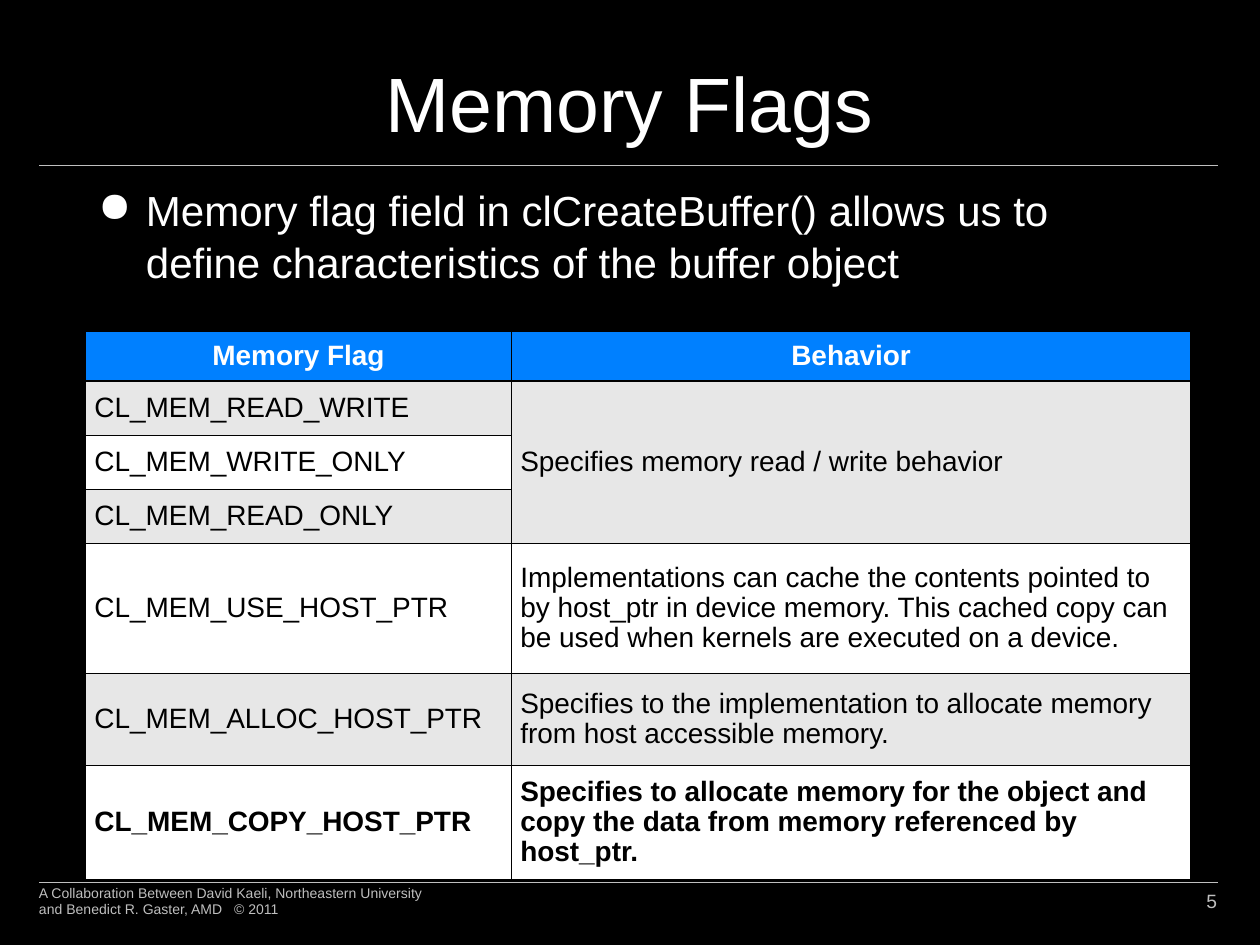
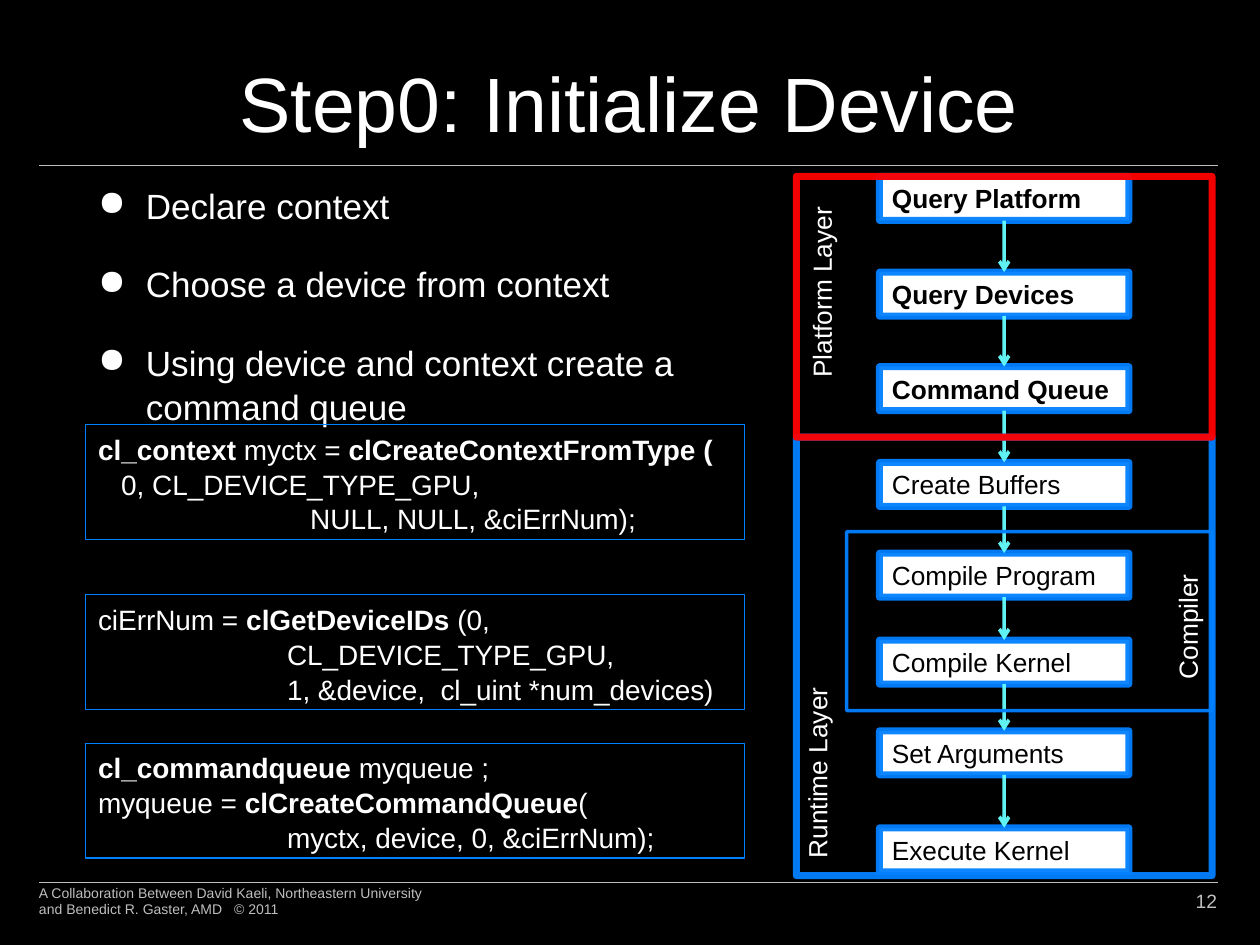
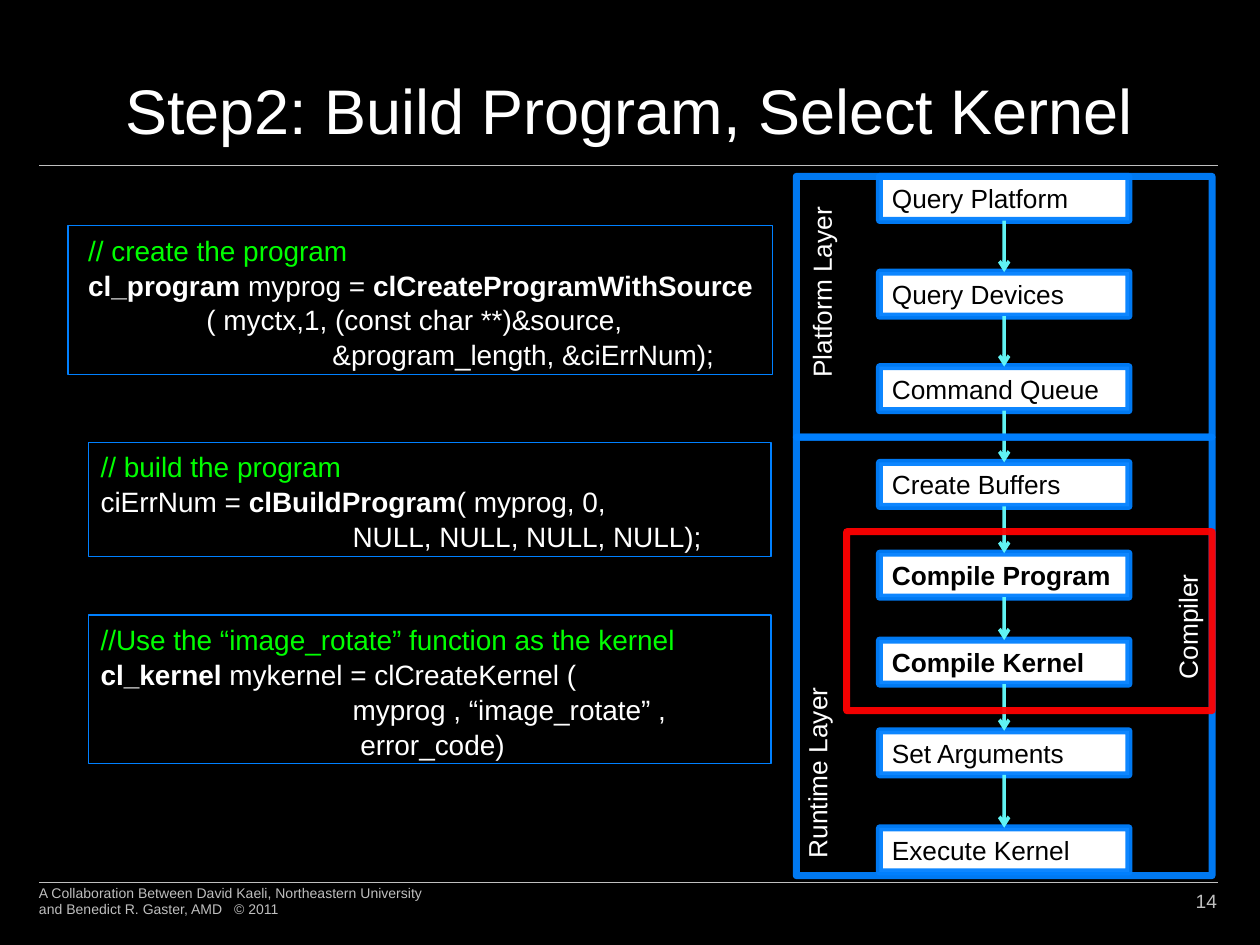
from dataclasses import dataclass

import lxml.etree
import pptx
import pptx.dml.color
import pptx.enum.shapes
import pptx.enum.text
import pptx.oxml
import pptx.oxml.ns
import pptx.util

Inches = pptx.util.Inches
Pt = pptx.util.Pt
RGB = pptx.dml.color.RGBColor.from_string
ALIGN = pptx.enum.text.PP_ALIGN
ANCHOR = pptx.enum.text.MSO_ANCHOR
qn = pptx.oxml.ns.qn


@dataclass(frozen=True)
class Theme:
    font: str = "Arial"
    black: str = "000000"
    white: str = "FFFFFF"
    muted: str = "BFBFBF"
    blue: str = "0080FF"
    red: str = "FF0000"
    cyan: str = "66FFFF"
    green: str = "00FF00"
    band: str = "E7E7E7"
    title: int = 44
    long_title: int = 36
    lead: int = 24
    bullet: int = 20
    code: int = 16
    label: int = 15
    number: int = 11
    credit: int = 8
    loose: float = 1.04
    tight: float = 0.96


T = Theme()
CREDIT = ("A Collaboration Between David Kaeli, Northeastern University "
          "and Benedict R. Gaster, AMD   © 2011")

FLAGS = [
    ("Memory Flag", "Behavior"),
    ("CL_MEM_READ_WRITE", "Specifies memory read / write behavior"),
    ("CL_MEM_WRITE_ONLY", ""),
    ("CL_MEM_READ_ONLY", ""),
    ("CL_MEM_USE_HOST_PTR",
     "Implementations can cache the contents pointed to by host_ptr in device memory. "
     "This cached copy can be used when kernels are executed on a device."),
    ("CL_MEM_ALLOC_HOST_PTR",
     "Specifies to the implementation to allocate memory from host accessible memory."),
    ("CL_MEM_COPY_HOST_PTR",
     "Specifies to allocate memory for the object and copy the data from memory "
     "referenced by host_ptr."),
]

# Tops of the steps, measured from the top of the flow diagram
STEPS = {"Query Platform": 0, "Query Devices": 0.76, "Command Queue": 1.51,
         "Create Buffers": 2.27, "Compile Program": 2.99, "Compile Kernel": 3.68,
         "Set Arguments": 4.4, "Execute Kernel": 5.17}
# Layer: (frame box, frame line width, label box), relative to the flow diagram
LAYERS = {
    "Compiler": ((0.4, 2.82, 2.9, 1.42), 2, (2.56, 3.37, 1.09, 0.35)),
    "Runtime Layer": ((0, 2.07, 3.3, 3.48), 4, (-0.65, 4.52, 1.63, 0.35)),
    "Platform Layer": ((0, 0, 3.3, 2.07), 4, (-0.63, 0.69, 1.66, 0.35)),
}
FLOW_AT = (6.32, 1.4)

# Code lines are lists of (text, style): "b" is bold, "c" is a comment
CONTEXT_CODE = [
    [("cl_context ", "b"), ("myctx = ", ""), ("clCreateContextFromType (", "b")],
    [("   0, CL_DEVICE_TYPE_GPU,", "")],
    [("\t\t\t   NULL, NULL, &ciErrNum);", "")],
]
DEVICE_CODE = [
    [("ciErrNum = ", ""), ("clGetDeviceIDs ", "b"), ("(0,", "")],
    [("\t\t\tCL_DEVICE_TYPE_GPU,", "")],
    [("\t\t\t1, &device,  cl_uint *num_devices)", "")],
]
QUEUE_CODE = [
    [("cl_commandqueue ", "b"), ("myqueue ;", "")],
    [("myqueue = ", ""), ("clCreateCommandQueue", "b"), ("(", "")],
    [("\t\t\tmyctx, device, 0, &ciErrNum);", "")],
]
PROGRAM_CODE = [
    [(" // create the program", "c")],
    [(" cl_program ", "b"), ("myprog = ", ""), ("clCreateProgramWithSource", "b")],
    [("\t\t( myctx,1, (const char **)&source,", "")],
    [(" \t\t\t\t&program_length, &ciErrNum);", "")],
]
BUILD_CODE = [
    [("// build the program", "c")],
    [("ciErrNum = ", ""), ("clBuildProgram", "b"), ("( myprog, 0,", "")],
    [("\t\t\t\tNULL, NULL, NULL, NULL);", "")],
]
KERNEL_CODE = [
    [("//Use the “image_rotate” function as the kernel", "c")],
    [("cl_kernel ", "b"), ("mykernel = clCreateKernel (", "")],
    [("\t\t\t\tmyprog , “image_rotate” ,", "")],
    [("\t\t\t\t error_code)", "")],
]


def inches(values):
    return [Inches(round(v, 2)) for v in values]


def style_run(r, size, color, bold=False):
    r.font.name, r.font.size, r.font.bold = T.font, Pt(size), bold
    r.font.color.rgb = RGB(color)


def write(tf, text, size, color, bold=False, align=ALIGN.LEFT):
    tf.text = text
    p = tf.paragraphs[0]
    p.alignment = align
    for r in p.runs:
        style_run(r, size, color, bold)
    return p


def text_box(s, box, text, size, color, align=ALIGN.LEFT):
    sp = s.shapes.add_textbox(*inches(box))
    sp.text_frame.word_wrap = True
    write(sp.text_frame, text, size, color, align=align)
    return sp


def set_line(sp, color, width, opacity=100):
    sp.line.color.rgb = RGB(color)
    sp.line.width = Pt(width)
    if opacity < 100:
        rgb = sp.line._get_or_add_ln().find(".//" + qn("a:srgbClr"))
        lxml.etree.SubElement(rgb, qn("a:alpha"), val=str(opacity * 1000))


def rectangle(s, box, line, width, fill=None, opacity=100):
    sp = s.shapes.add_shape(pptx.enum.shapes.MSO_SHAPE.RECTANGLE, *inches(box))
    sp.shadow.inherit = False
    if fill:
        sp.fill.solid()
        sp.fill.fore_color.rgb = RGB(fill)
    else:
        sp.fill.background()
    set_line(sp, line, width, opacity)
    sp.text_frame.word_wrap = True
    sp.text_frame.vertical_anchor = ANCHOR.TOP
    return sp


def connector(s, start, end, color, width, opacity=100):
    line = s.shapes.add_connector(pptx.enum.shapes.MSO_CONNECTOR.STRAIGHT,
                                  *inches(start + end))
    set_line(line, color, width, opacity)
    lxml.etree.SubElement(line._element.spPr, qn("a:effectLst"))
    return line


def base_slide(prs, title, number, size=T.title):
    s = prs.slides.add_slide(prs.slide_layouts[5])
    for y in (1.31, 7):
        connector(s, (0.31, y), (9.67, y), T.muted, 0.25)
    sp = s.shapes.title
    sp.left, sp.top, sp.width, sp.height = inches((0.7, 0.12, 8.59, 1.1))
    tf = sp.text_frame
    tf.word_wrap = True
    tf.auto_size = pptx.enum.text.MSO_AUTO_SIZE.NONE
    tf.vertical_anchor = ANCHOR.BOTTOM
    write(tf, title, size, T.white, align=ALIGN.CENTER)
    for box, text, pt, align in (
            ((8.83, 6.95, 0.83, 0.4), str(number), T.number, ALIGN.RIGHT),
            ((0.31, 6.95, 3.17, 0.4), CREDIT, T.credit, ALIGN.LEFT)):
        tf = text_box(s, box, text, pt, T.muted, align).text_frame
        tf.margin_left = tf.margin_right = 0
        tf.vertical_anchor = ANCHOR.MIDDLE
    return s


def bullets(s, box, items, size):
    sp = s.shapes.add_textbox(*inches(box))
    tf = sp.text_frame
    tf.word_wrap = True
    for i, item in enumerate(items):
        p = tf.add_paragraph() if i else tf.paragraphs[0]
        p.text = item
        p.line_spacing = T.loose
        if i:
            p.space_before = Pt(20)
        pPr = p._p.get_or_add_pPr()
        pPr.set("marL", str(Inches(0.38)))
        pPr.set("indent", str(-Inches(0.38)))
        lxml.etree.SubElement(pPr, qn("a:buChar"), char="●")
        style_run(p.runs[0], size, T.white)


def code_box(s, box, lines):
    tf = rectangle(s, box, T.blue, 0.75).text_frame
    for i, line in enumerate(lines):
        p = tf.add_paragraph() if i else tf.paragraphs[0]
        p.alignment = ALIGN.LEFT
        p.line_spacing = T.loose
        tabs = lxml.etree.SubElement(p._p.get_or_add_pPr(), qn("a:tabLst"))
        for stop in range(1, 5):
            lxml.etree.SubElement(tabs, qn("a:tab"), pos=str(Inches(0.5 * stop)), algn="l")
        for text, style in line:
            r = p.add_run()
            r.text = text
            style_run(r, T.code, T.green if style == "c" else T.white, style == "b")


def border_cell(cell, color, width):
    tcPr = cell._tc.get_or_add_tcPr()
    for i, side in enumerate(("lnL", "lnR", "lnT", "lnB")):
        ln = pptx.oxml.parse_xml(
            f'<a:{side} {pptx.oxml.ns.nsdecls("a")} w="{Pt(width)}"><a:solidFill>'
            f'<a:srgbClr val="{color}"/></a:solidFill></a:{side}>')
        tcPr.insert(i, ln)


def flag_table(s, box):
    table = s.shapes.add_table(len(FLAGS), 2, *inches(box)).table
    for col, width in zip(table.columns, (3.38, 5.39)):
        col.width = Inches(width)
    for row, height in zip(table.rows, (0.38, 0.43, 0.43, 0.43, 1.03, 0.73, 0.73)):
        row.height = Inches(height)
    table.cell(1, 1).merge(table.cell(3, 1))
    last = len(FLAGS) - 1
    for i, row in enumerate(FLAGS):
        header = i == 0
        for j, text in enumerate(row):
            cell = table.cell(i, j)
            cell.fill.solid()
            cell.fill.fore_color.rgb = RGB(T.blue if header else T.band if i % 2 else T.white)
            border_cell(cell, T.black, 1)
            cell.vertical_anchor = ANCHOR.MIDDLE
            cell.margin_left = cell.margin_right = Inches(0.07)
            cell.margin_top = cell.margin_bottom = Inches(0.07)
            p = write(cell.text_frame, text, T.code, T.white if header else T.black,
                      i in (0, last), ALIGN.CENTER if header else ALIGN.LEFT)
            p.line_spacing = T.tight


def flow_diagram(s, at, active_layer, active_steps):
    """Draw the steps and their layers, with the active ones marked."""
    x, y = at
    previous = None
    for name, dy in STEPS.items():
        sp = rectangle(s, (x + 0.66, y + dy, 1.98, 0.35), T.blue, 4, T.white, 95)
        write(sp.text_frame, name, T.label, T.black, name in active_steps)
        if previous:
            arrow = connector(s, (0, 0), (0, 0), T.cyan, 2, 95)
            arrow.begin_connect(previous, 2)
            arrow.end_connect(sp, 0)
            lxml.etree.SubElement(arrow.line._get_or_add_ln(), qn("a:tailEnd"), type="arrow")
        previous = sp
    for name in sorted(LAYERS, key=lambda layer: layer == active_layer):
        frame, width, label = LAYERS[name]
        active = name == active_layer
        rectangle(s, (x + frame[0], y + frame[1]) + frame[2:],
                  T.red if active else T.blue, 4 if active else width, opacity=95)
        sp = text_box(s, (x + label[0], y + label[1]) + label[2:], name, T.label, T.white)
        sp.rotation = 270


def memory_flags_slide(prs):
    s = base_slide(prs, "Memory Flags", 5)
    bullets(s, (0.68, 1.4, 8.62, 1.1),
            ["Memory flag field in clCreateBuffer() allows us to define "
             "characteristics of the buffer object"], T.lead)
    flag_table(s, (0.68, 2.63, 8.77, 4.16))


def initialize_slide(prs):
    s = base_slide(prs, "Step0: Initialize Device", 12)
    bullets(s, (0.68, 1.4, 5.59, 1.95),
            ["Declare context", "Choose a device from context",
             "Using device and context create a command queue"], T.bullet)
    for top, code in ((3.37, CONTEXT_CODE), (4.72, DEVICE_CODE), (5.9, QUEUE_CODE)):
        code_box(s, (0.68, top, 5.23, 0.91), code)
    flow_diagram(s, FLOW_AT, "Platform Layer",
                 ("Query Platform", "Query Devices", "Command Queue"))


def build_slide(prs):
    s = base_slide(prs, "Step2: Build Program, Select Kernel", 14, T.long_title)
    code_box(s, (0.54, 1.79, 5.59, 1.18), PROGRAM_CODE)
    code_box(s, (0.7, 3.51, 5.42, 0.91), BUILD_CODE)
    code_box(s, (0.7, 4.88, 5.42, 1.18), KERNEL_CODE)
    flow_diagram(s, FLOW_AT, "Compiler", ("Compile Program", "Compile Kernel"))


def main():
    prs = pptx.Presentation()
    prs.slide_width, prs.slide_height = Inches(10), Inches(7.5)
    fill = prs.slide_master.background.fill
    fill.solid()
    fill.fore_color.rgb = RGB(T.black)
    memory_flags_slide(prs)
    initialize_slide(prs)
    build_slide(prs)
    prs.save("out.pptx")


if __name__ == "__main__":
    main()
